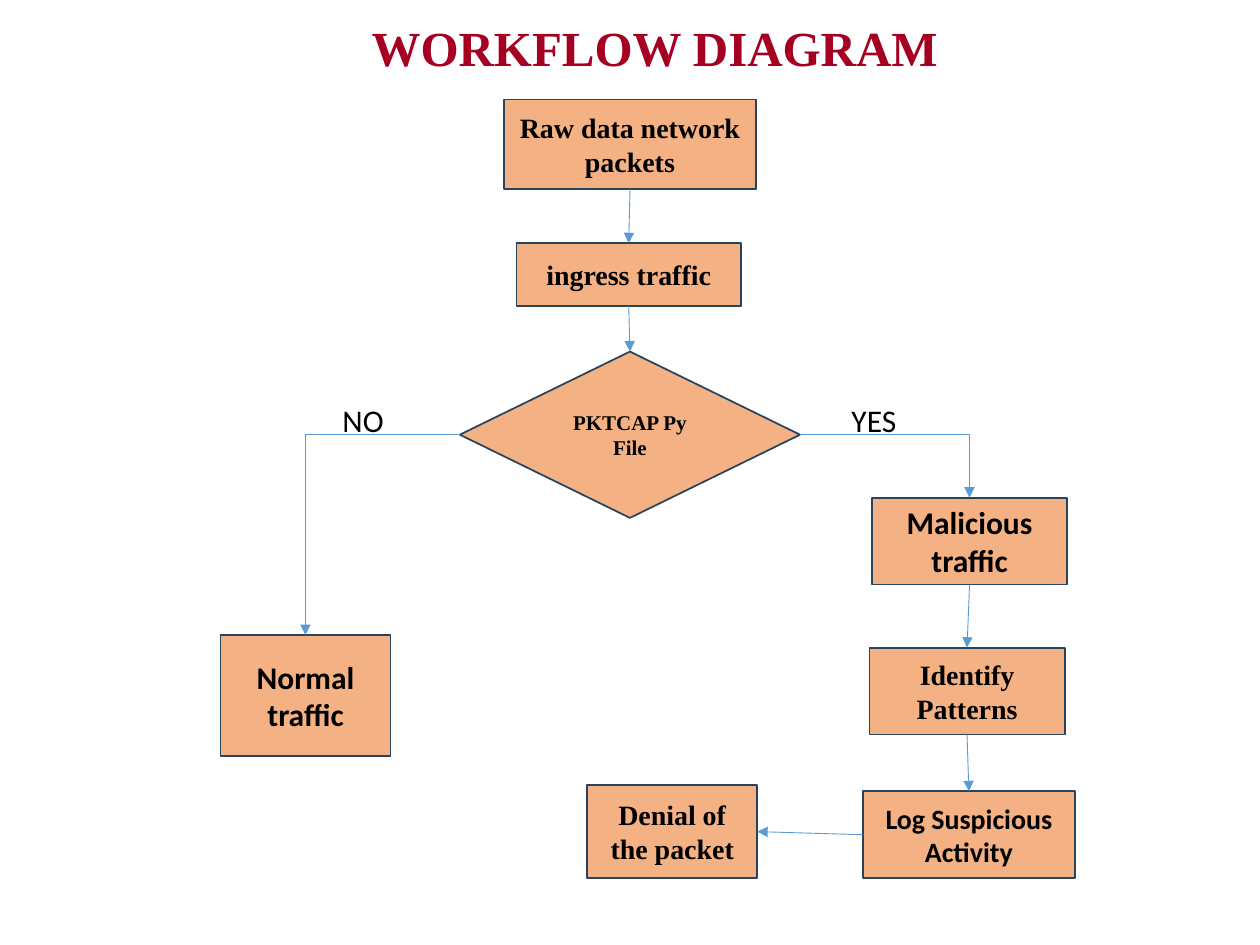
from lxml.etree import SubElement
from pptx import Presentation
from pptx.dml.color import RGBColor
from pptx.enum.shapes import MSO_CONNECTOR, MSO_SHAPE
from pptx.enum.text import MSO_ANCHOR, MSO_AUTO_SIZE, PP_ALIGN
from pptx.oxml.ns import qn
from pptx.util import Inches, Pt

SERIF, SANS = "Times New Roman", "Calibri"
TOP, LEFT, BOTTOM, RIGHT = range(4)
STEPS = {
    "raw": ("Raw data network packets", (4, 0.79, 2, 0.71), SERIF, 16),
    "ingress": ("ingress traffic", (4.1, 1.93, 1.78, 0.5), SERIF, 16),
    "decision": ("PKTCAP Py File", (3.65, 2.79, 2.7, 1.32), SERIF, 12),
    "normal": ("Normal traffic", (1.75, 5.04, 1.35, 0.96), SANS, 18),
    "malicious": ("Malicious\ntraffic", (6.92, 3.95, 1.55, 0.69), SANS, 18),
    "patterns": ("Identify Patterns", (6.9, 5.14, 1.55, 0.69), SERIF, 16),
    "log": ("Log Suspicious Activity", (6.85, 6.28, 1.68, 0.69), SANS, 16),
    "denial": ("Denial of the packet", (4.66, 6.23, 1.35, 0.74), SERIF, 16),
}
FLOWS = [
    ("raw", BOTTOM, "ingress", TOP),
    ("ingress", BOTTOM, "decision", TOP),
    ("decision", LEFT, "normal", TOP),
    ("decision", RIGHT, "malicious", TOP),
    ("malicious", BOTTOM, "patterns", TOP),
    ("patterns", BOTTOM, "log", TOP),
    ("log", LEFT, "denial", RIGHT),
]
ANSWERS = [("NO", (2.62, 3.13, 0.9, 0.4)), ("YES", (6.66, 3.13, 0.8, 0.4))]


def colour(hex_value):
    """Turn a hex string into a colour."""
    return RGBColor.from_string(hex_value)


def apply_format(target, values):
    """Set each named attribute on the target."""
    for name, value in values.items():
        setattr(target, name, value)


def write(holder, text, font, size, ink="000000", bold=True, **paragraph_format):
    """Fill a shape with formatted text."""
    holder.text_frame.text = text
    for paragraph in holder.text_frame.paragraphs:
        apply_format(paragraph, paragraph_format)
        for run in paragraph.runs:
            apply_format(run.font, {"name": font, "size": Pt(size), "bold": bold})
            run.font.color.rgb = colour(ink)


def add_heading(slide):
    """Place the slide title."""
    heading = slide.shapes.title
    apply_format(heading, {"left": Inches(2.85), "top": Inches(0.13),
                           "width": Inches(5.47), "height": Inches(0.45)})
    write(heading, "WORKFLOW DIAGRAM", SERIF, 28, "A50021",
          alignment=PP_ALIGN.LEFT, line_spacing=1.07, space_after=Pt(4.5))
    apply_format(heading.text_frame, {"vertical_anchor": MSO_ANCHOR.MIDDLE,
                                      "auto_size": MSO_AUTO_SIZE.NONE})


def add_step(slide, outline, text, bounds, font, size):
    """Draw one step of the workflow."""
    step = slide.shapes.add_shape(outline, *map(Inches, bounds))
    step.shadow.inherit = False
    step.fill.solid()
    step.fill.fore_color.rgb = colour("F4B183")
    step.line.color.rgb = colour("28445D")
    step.line.width = Pt(1)
    write(step, text, font, size, alignment=PP_ALIGN.CENTER)
    apply_format(step.text_frame, {"word_wrap": True,
                                   "vertical_anchor": MSO_ANCHOR.MIDDLE})
    return step


def add_flow(slide, source, exit_site, target, entry_site, bent):
    """Join two steps with an arrow."""
    kind = MSO_CONNECTOR.ELBOW if bent else MSO_CONNECTOR.STRAIGHT
    flow = slide.shapes.add_connector(kind, 0, 0, 0, 0)
    flow.begin_connect(source, exit_site)
    flow.end_connect(target, entry_site)
    flow.line.color.rgb = colour("5B9BD5")
    flow.line.width = Pt(0.5)
    properties = flow._element.spPr
    if bent:
        properties.find(qn("a:prstGeom")).set("prst", "bentConnector2")
    SubElement(properties.find(qn("a:ln")), qn("a:tailEnd"), type="triangle")
    SubElement(properties, qn("a:effectLst"))


def add_answer(slide, text, bounds):
    """Label one branch of the decision."""
    answer = slide.shapes.add_textbox(*map(Inches, bounds))
    answer.text_frame.word_wrap = True
    write(answer, text, SANS, 18, bold=False)


def main():
    """Build the workflow slide."""
    deck = Presentation()
    deck.slide_width, deck.slide_height = Inches(10), Inches(7.5)
    slide = deck.slides.add_slide(deck.slide_layouts[5])
    add_heading(slide)
    steps = {}
    for key, content in STEPS.items():
        outline = MSO_SHAPE.DIAMOND if key == "decision" else MSO_SHAPE.RECTANGLE
        steps[key] = add_step(slide, outline, *content)
    for source, exit_site, target, entry_site in FLOWS:
        add_flow(slide, steps[source], exit_site, steps[target], entry_site,
                 bent=source == "decision")
    for text, bounds in ANSWERS:
        add_answer(slide, text, bounds)
    deck.save("out.pptx")


if __name__ == "__main__":
    main()
